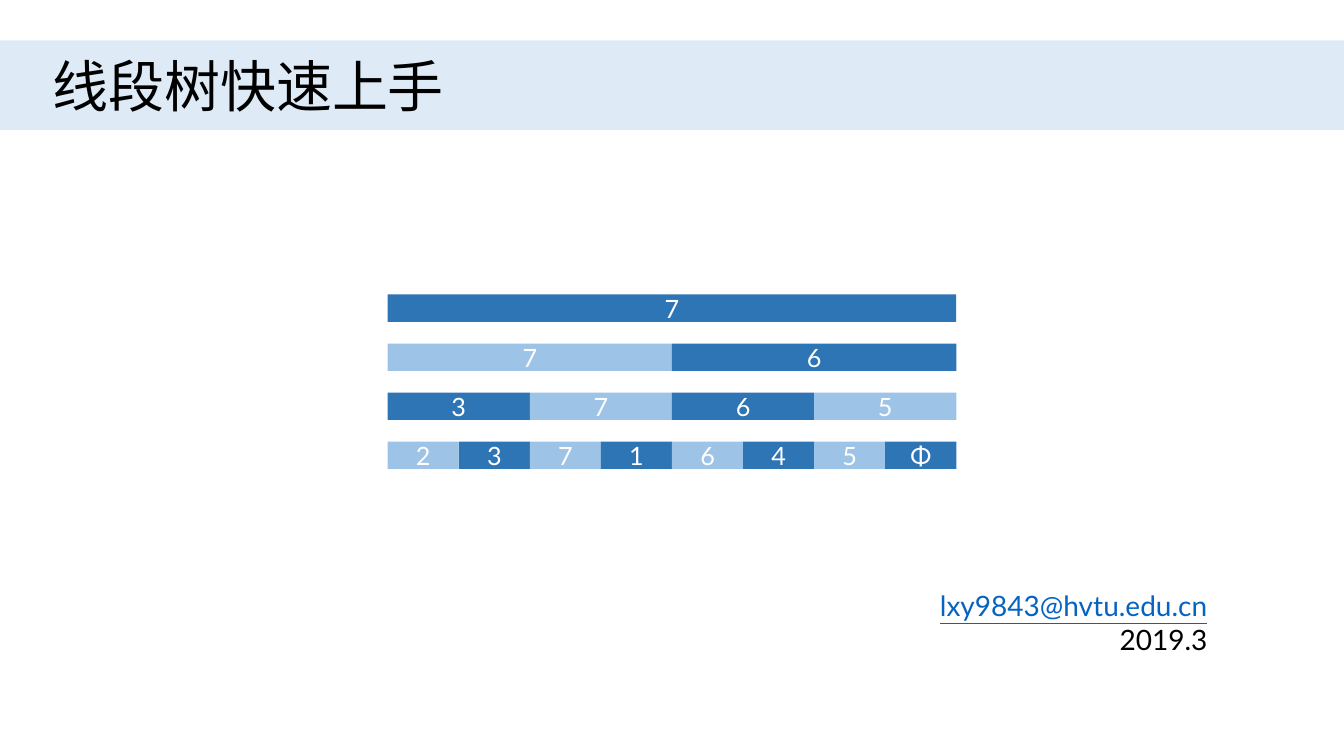
from dataclasses import dataclass

from pptx import Presentation
from pptx.dml.color import RGBColor
from pptx.enum.shapes import MSO_SHAPE
from pptx.enum.text import MSO_ANCHOR, PP_ALIGN
from pptx.util import Cm, Pt

RECT = MSO_SHAPE.RECTANGLE
LEFT, CENTER, RIGHT = PP_ALIGN.LEFT, PP_ALIGN.CENTER, PP_ALIGN.RIGHT
TOP, MIDDLE = MSO_ANCHOR.TOP, MSO_ANCHOR.MIDDLE


@dataclass(frozen=True)
class Theme:
    font: str = "Lato"
    band: str = "DEEBF7"
    dark: str = "2E75B6"
    light: str = "9DC3E6"
    ink: str = "000000"
    node_ink: str = "FFFFFF"
    link: str = "0563C1"
    title_size: int = 40
    contact_size: int = 20
    node_size: int = 18


THEME = Theme()

# Each level of the segment tree holds the maximum of the pairs below it
TREE_LEVELS = ["7", "76", "3765", "2371645Φ"]


def write_line(paragraph, text, size, color, align=LEFT, underline=None):
    paragraph.alignment = align
    run = paragraph.add_run()
    run.text = text
    run.font.color.rgb = RGBColor.from_string(color)
    formats = {"name": THEME.font, "size": Pt(size), "underline": underline}
    for key, value in formats.items():
        setattr(run.font, key, value)


def add_bar(slide, box, color):
    bar = slide.shapes.add_shape(RECT, *map(Cm, box))
    bar.shadow.inherit = False
    bar.fill.solid()
    bar.fill.fore_color.rgb = RGBColor.from_string(color)
    bar.line.fill.background()
    return bar


def add_text_frame(slide, box):
    frame = slide.shapes.add_textbox(*map(Cm, box)).text_frame
    for key, value in {"word_wrap": True, "vertical_anchor": TOP}.items():
        setattr(frame, key, value)
    return frame


def title_band(slide, box, title):
    left, top, width, height = box
    add_bar(slide, box, THEME.band)
    frame = add_text_frame(slide, (left + 1.07, top + 0.15, width - 10.83, height - 0.3))
    write_line(frame.paragraphs[0], title, THEME.title_size, THEME.ink)


def segment_tree(slide, box, levels, node_height=0.69):
    left, top, width, height = box
    pitch = (height - node_height) / (len(levels) - 1)
    for depth, values in enumerate(levels):
        node_width = width / len(values)
        for index, value in enumerate(values):
            # Neighbouring nodes alternate in colour, and so do the levels
            color = THEME.light if (depth + index) % 2 else THEME.dark
            node_box = (left + index * node_width, top + depth * pitch,
                        node_width, node_height)
            frame = add_bar(slide, node_box, color).text_frame
            frame.vertical_anchor = MIDDLE
            write_line(frame.paragraphs[0], value, THEME.node_size,
                       THEME.node_ink, CENTER)


def contact(slide, box, address, date):
    frame = add_text_frame(slide, box)
    write_line(frame.paragraphs[0], address, THEME.contact_size, THEME.link,
               RIGHT, underline=True)
    write_line(frame.add_paragraph(), date, THEME.contact_size, THEME.ink, RIGHT)


def main():
    deck = Presentation()
    deck.slide_width, deck.slide_height = Cm(33.87), Cm(19.05)
    slide = deck.slides.add_slide(deck.slide_layouts[6])

    title_band(slide, (0, 1.02, 33.87, 2.26), "线段树快速上手")
    contact(slide, (22.81, 14.71, 7.87, 1.96), "lxy9843@hvtu.edu.cn", "2019.3")
    segment_tree(slide, (9.77, 7.42, 14.33, 4.4), TREE_LEVELS)

    deck.save("out.pptx")


main()
